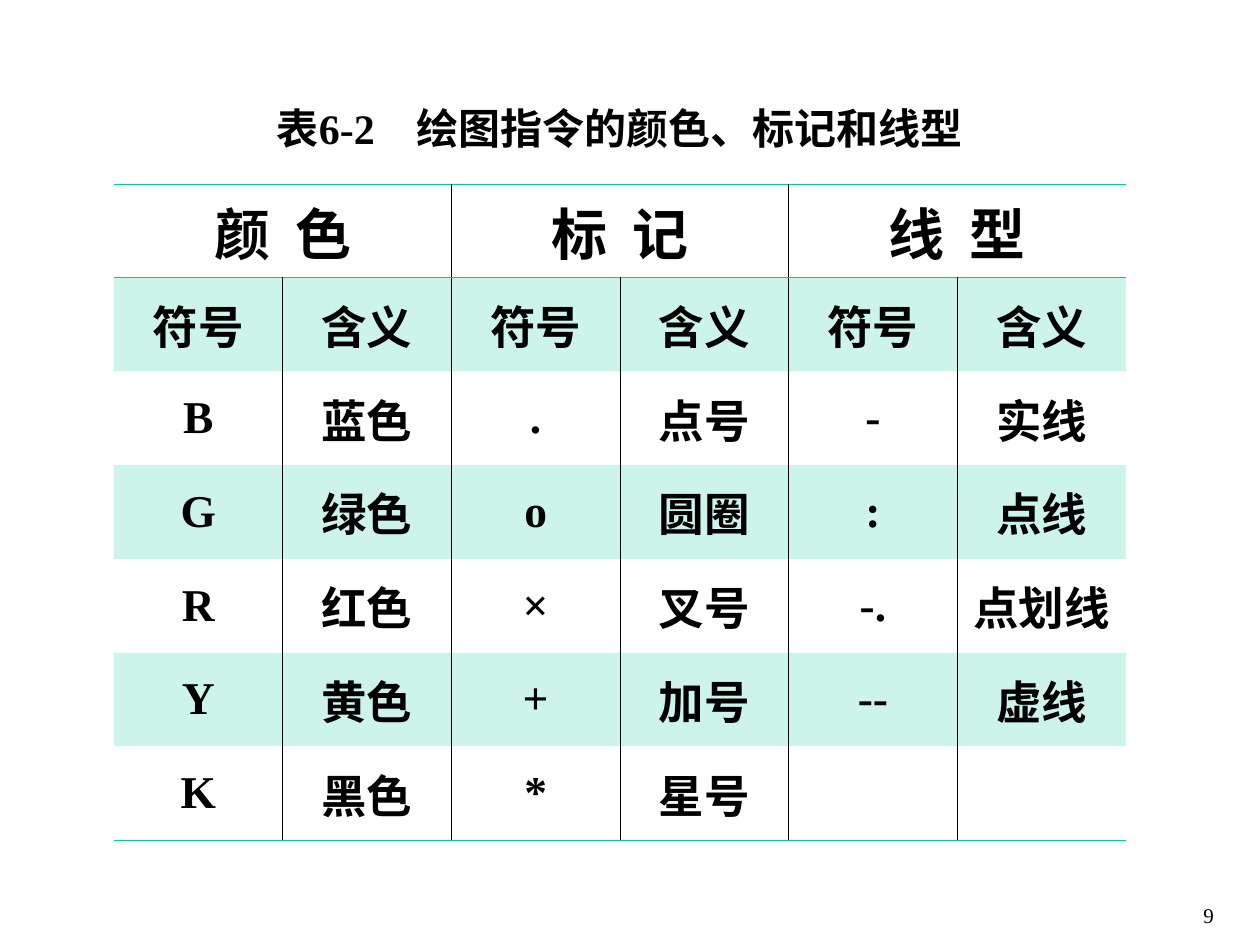
from lxml import etree
from pptx import Presentation
from pptx.dml.color import RGBColor
from pptx.enum.text import MSO_ANCHOR, PP_ALIGN
from pptx.oxml.ns import qn
from pptx.util import Pt

SCALE = 914400 / 126
CENTER, LEFT = PP_ALIGN.CENTER, PP_ALIGN.LEFT
MIDDLE, TOP = MSO_ANCHOR.MIDDLE, MSO_ANCHOR.TOP
COLORS = {"text": "000000", "divider": "000000", "accent": "00CC99"}
SERIF, SANS = "Times New Roman", "Noto Sans CJK SC"
PLAIN_TABLE_STYLE = "{2D5ABB26-0587-4C30-8999-92F81FD0307C}"
BORDER_WIDTH = 5715
BAND_ALPHA = 20000

TITLE_RUNS = [("表", SANS, 0), ("6-2", SERIF, 0), (" ", SERIF, 18),
              ("绘图指令的颜色、标记和线型", SANS, 0)]
GROUPS = ["颜色", "标记", "线型"]
ROWS = [
    ["符号", "含义"] * len(GROUPS),
    ["B", "蓝色", ".", "点号", "-", "实线"],
    ["G", "绿色", "o", "圆圈", ":", "点线"],
    ["R", "红色", "×", "叉号", "-.", "点划线"],
    ["Y", "黄色", "+", "加号", "--", "虚线"],
    ["K", "黑色", "*", "星号", "", ""],
]


def px(length):
    """Turn pixels into EMU."""
    return round(length * SCALE)


def write_runs(paragraph, runs, size, bold=True, alignment=CENTER):
    """Add runs given as text, font name and letter spacing in points."""
    paragraph.alignment = alignment
    for text, name, spacing in runs:
        run = paragraph.add_run()
        run.text = text
        for key, value in {"name": name, "size": Pt(size), "bold": bold}.items():
            setattr(run.font, key, value)
        run.font.color.rgb = RGBColor.from_string(COLORS["text"])
        properties = run.font._element
        if spacing:
            properties.set("spc", str(spacing * 100))
        etree.SubElement(properties, qn("a:ea")).set("typeface", SANS)


def add_text(slide, box, runs, size, bold, alignment, anchor):
    """Add a text box holding one paragraph."""
    frame = slide.shapes.add_textbox(*map(px, box)).text_frame
    frame.word_wrap = True
    frame.vertical_anchor = anchor
    write_runs(frame.paragraphs[0], runs, size, bold, alignment)


def set_borders(cell, borders):
    """Draw the cell sides that have a colour and clear the others."""
    properties = cell._tc.get_or_add_tcPr()
    for side in ("L", "R", "T", "B"):
        line = etree.SubElement(properties, qn(f"a:ln{side}"), w=str(BORDER_WIDTH))
        color = borders.get(side)
        if color:
            fill = etree.SubElement(line, qn("a:solidFill"))
            etree.SubElement(fill, qn("a:srgbClr"), val=COLORS[color])
        else:
            etree.SubElement(line, qn("a:noFill"))


def fill_band(cell, shaded):
    """Give the cell a pale accent fill or none."""
    if not shaded:
        cell.fill.background()
        return
    cell.fill.solid()
    cell.fill.fore_color.rgb = RGBColor.from_string(COLORS["accent"])
    color = cell._tc.tcPr.find(".//" + qn("a:solidFill") + "[last()]/" + qn("a:srgbClr"))
    color = cell._tc.tcPr.find(qn("a:solidFill") + "/" + qn("a:srgbClr"))
    etree.SubElement(color, qn("a:alpha"), val=str(BAND_ALPHA))


def cell_borders(row, column, last_row, last_column):
    """Choose border colours from the position of a cell in the grid."""
    step = 2 if row == 0 else 1
    borders = {}
    if column > 0 and column % step == 0:
        borders["L"] = "divider"
    if column < last_column and (column + 1) % step == 0:
        borders["R"] = "divider"
    if row <= 1:
        borders["T"] = "accent"
    if row in (0, last_row):
        borders["B"] = "accent"
    return borders


def add_symbol_table(slide, box):
    """Add the banded table of colours, markers and line styles."""
    row_count, column_count = len(ROWS) + 1, len(ROWS[0])
    table = slide.shapes.add_table(row_count, column_count, *map(px, box)).table
    table.first_row = table.horz_banding = False
    table._tbl.tblPr.find(qn("a:tableStyleId")).text = PLAIN_TABLE_STYLE
    for column in table.columns:
        column.width = px(box[2] / column_count)
    for row in table.rows:
        row.height = px(box[3] / row_count)
    for row in range(row_count):
        for column in range(column_count):
            cell = table.cell(row, column)
            cell.vertical_anchor = MIDDLE
            set_borders(cell, cell_borders(row, column, row_count - 1, column_count - 1))
            fill_band(cell, row % 2 == 1)
            if row and ROWS[row - 1][column]:
                runs = [(ROWS[row - 1][column], SERIF, 0)]
                write_runs(cell.text_frame.paragraphs[0], runs, 26)
    for index, (first, second) in enumerate(GROUPS):
        cell = table.cell(0, 2 * index)
        cell.merge(table.cell(0, 2 * index + 1))
        runs = [(first, SANS, 0), (" ", SANS, 7), (second, SANS, 0)]
        write_runs(cell.text_frame.paragraphs[0], runs, 32)


def main():
    """Build and save the slide."""
    presentation = Presentation()
    presentation.slide_width, presentation.slide_height = px(1260), px(945)
    slide = presentation.slides.add_slide(presentation.slide_layouts[6])
    add_text(slide, (154, 96, 932, 63), TITLE_RUNS, 24, True, CENTER, MIDDLE)
    add_symbol_table(slide, (114, 184, 1012, 656))
    add_text(slide, (1191, 896, 59, 39), [("9", SERIF, 0)], 12, False, LEFT, TOP)
    presentation.save("out.pptx")


if __name__ == "__main__":
    main()
